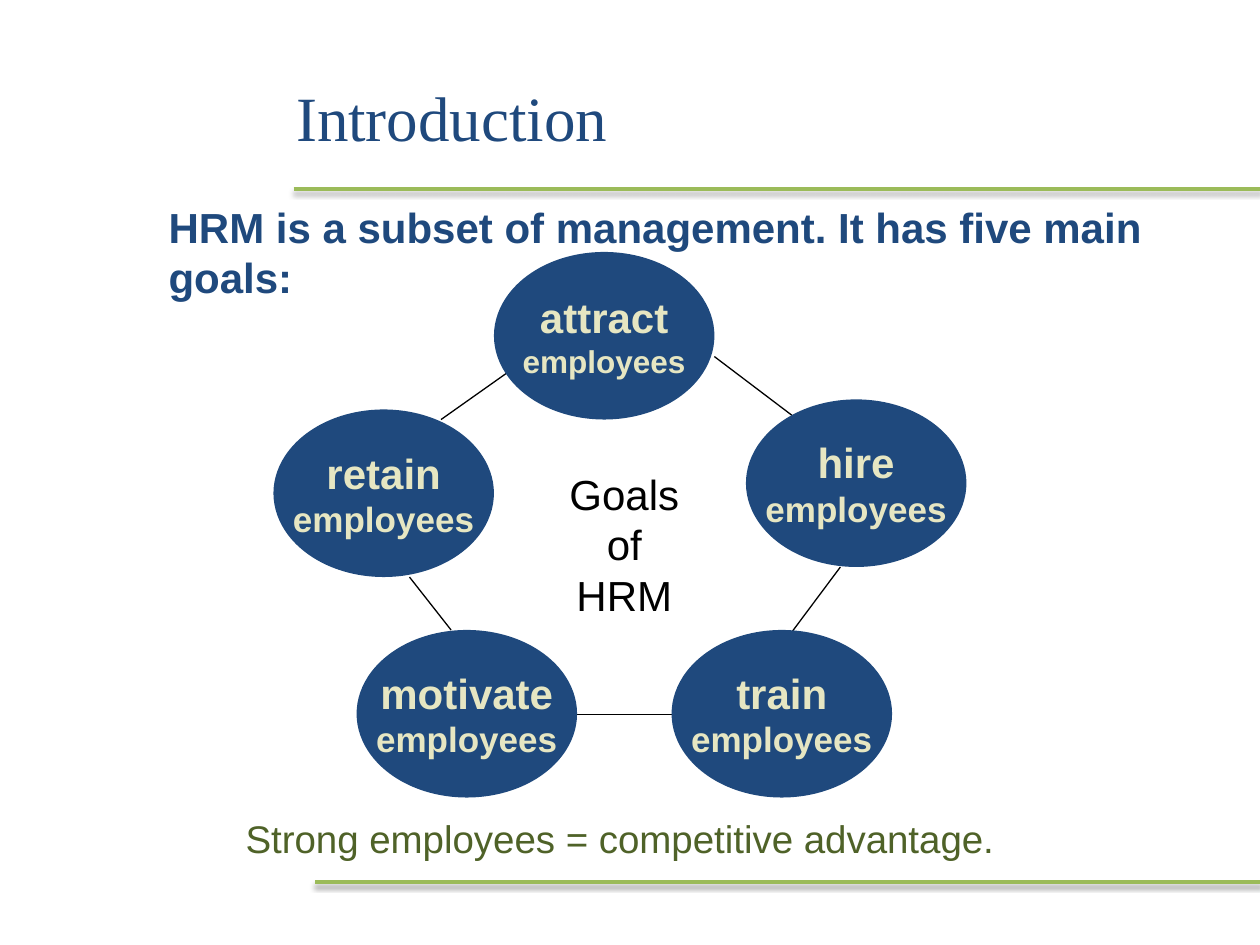
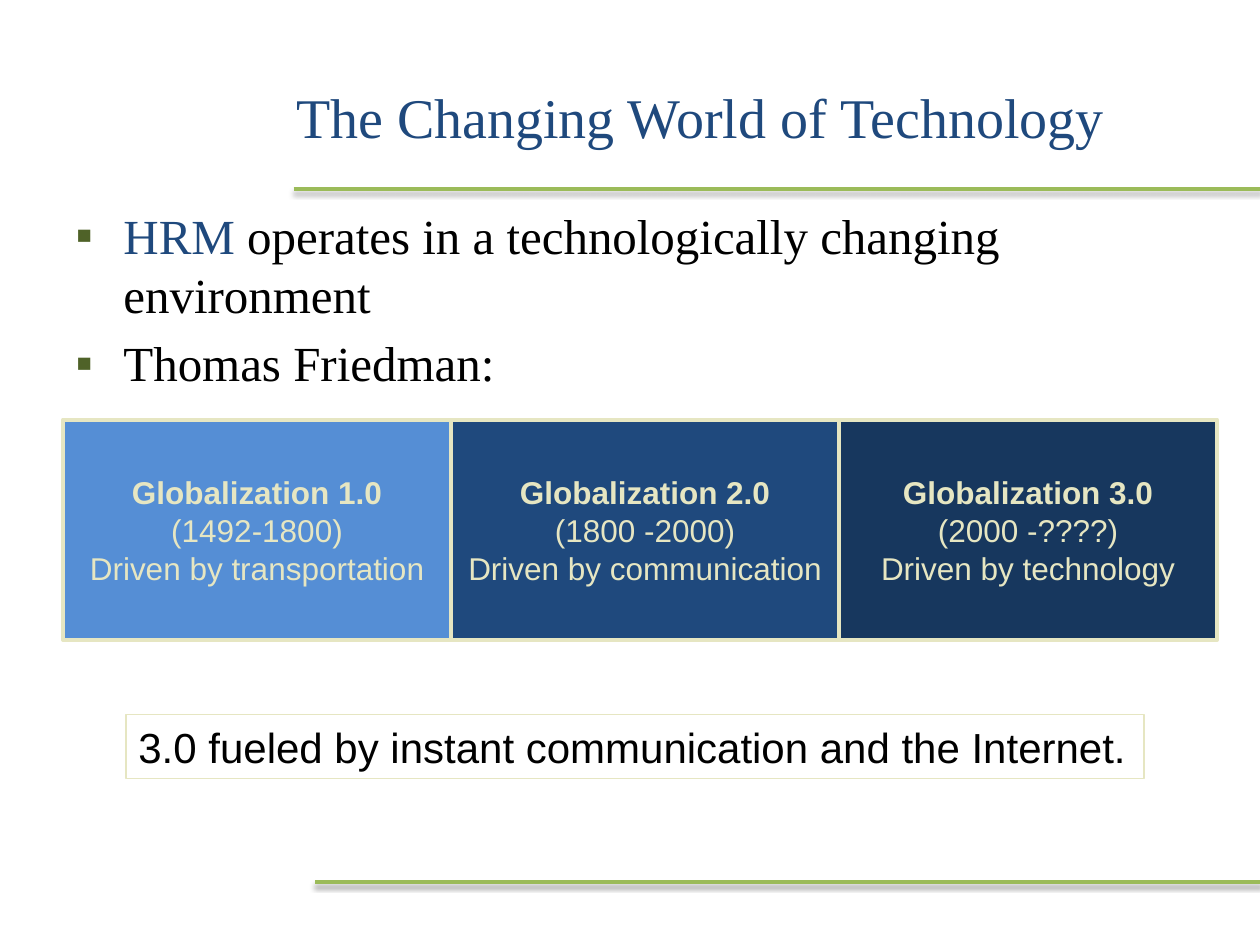
from dataclasses import dataclass

from lxml.etree import SubElement
from pptx import Presentation
from pptx.dml.color import RGBColor
from pptx.enum.shapes import MSO_CONNECTOR, MSO_SHAPE
from pptx.enum.text import MSO_ANCHOR, MSO_AUTO_SIZE, PP_ALIGN
from pptx.oxml import parse_xml
from pptx.oxml.ns import nsdecls, qn
from pptx.util import Inches, Pt


@dataclass(frozen=True)
class Theme:
    navy: str = "1F497D"
    deep_navy: str = "17375E"
    sky: str = "558ED5"
    cream: str = "E6E6C2"
    olive: str = "4F6228"
    green: str = "9BBB59"
    black: str = "000000"
    serif: str = "Times New Roman"
    sans: str = "Arial"
    title_size: int = 36
    long_title_size: int = 32
    list_size: int = 28
    text_size: int = 24
    caption_size: int = 22
    detail_size: int = 20
    small_size: int = 18


THEME = Theme()
RULE_SHADOW = (
    f'<a:effectLst {nsdecls("a")}><a:outerShdw blurRad="40000" dist="20000" dir="5400000" '
    'rotWithShape="0"><a:srgbClr val="000000"><a:alpha val="38000"/></a:srgbClr>'
    "</a:outerShdw></a:effectLst>"
)
NO_SHADOW = f'<a:effectLst {nsdecls("a")}/>'


def rgb(color):
    return RGBColor.from_string(color)


def style(paragraph, size, color, font=THEME.sans, bold=False, align=PP_ALIGN.LEFT):
    paragraph.alignment = align
    for run in paragraph.runs:
        run.font.name = font
        run.font.size = Pt(size)
        run.font.bold = bold
        run.font.color.rgb = rgb(color)


def place(part, left, top, width, height):
    part.left, part.top = Inches(left), Inches(top)
    part.width, part.height = Inches(width), Inches(height)


def add_line(slide, start, end, color, weight, effects=NO_SHADOW):
    line = slide.shapes.add_connector(
        MSO_CONNECTOR.STRAIGHT, *(Inches(v) for v in (*start, *end)))
    line.line.color.rgb = rgb(color)
    line.line.width = Pt(weight)
    line._element.spPr.append(parse_xml(effects))


def add_label(slide, box, text, size, color, bold=False, align=PP_ALIGN.CENTER, wrap=True):
    label = slide.shapes.add_textbox(*(Inches(v) for v in box))
    label.text_frame.word_wrap = wrap
    label.text_frame.text = text
    for paragraph in label.text_frame.paragraphs:
        style(paragraph, size, color, bold=bold, align=align)


def add_panel(shapes, preset, box, text, fill=None, border=None, weight=0.75, wrap=False):
    panel = shapes.add_shape(preset, *(Inches(v) for v in box))
    panel.shadow.inherit = False
    if fill:
        panel.fill.solid()
        panel.fill.fore_color.rgb = rgb(fill)
    else:
        panel.fill.background()
    if border:
        panel.line.color.rgb = rgb(border)
        panel.line.width = Pt(weight)
    else:
        panel.line.fill.background()
    frame = panel.text_frame
    frame.word_wrap = wrap
    frame.vertical_anchor = MSO_ANCHOR.MIDDLE
    frame.text = text
    return frame.paragraphs


def add_framed_slide(deck, layout_index, title, title_size):
    """Slide with its title and the two green rules."""
    slide = deck.slides.add_slide(deck.slide_layouts[layout_index])
    for left, top in ((2.33, 1.5), (2.5, 7)):
        add_line(slide, (left, top), (10, top), THEME.green, 2, RULE_SHADOW)
    heading = slide.shapes.title
    place(heading, 2.25, 0.3, 7.25, 1.25)
    heading.text_frame.text = title
    heading.text_frame.auto_size = MSO_AUTO_SIZE.NONE
    heading.text_frame.vertical_anchor = MSO_ANCHOR.MIDDLE
    style(heading.text_frame.paragraphs[0], title_size, THEME.navy, THEME.serif)
    return slide


def add_goal_ring(slide, left, top):
    """Five linked goals around a centre label, measured from the ring's corner."""
    links = [
        ((3.5, 0.83), (4.16, 1.33)),
        ((4.5, 2.5), (4, 3.17)),
        ((3.16, 3.67), (2.33, 3.67)),
        ((1.41, 3), (1.08, 2.58)),
        ((1.33, 1.33), (1.91, 0.92)),
    ]
    for start, end in links:
        add_line(slide, (left + start[0], top + start[1]),
                 (left + end[0], top + end[1]), THEME.black, 0.75)

    add_label(slide, (left + 2.25, top + 1.67, 1.07, 1.3), "Goals\nof\nHRM",
              THEME.text_size, THEME.black, wrap=False)

    goals = [
        ("hire", 3.75, 1.17, THEME.detail_size),
        ("attract", 1.75, 0, THEME.small_size),
        ("retain", 0, 1.25, THEME.detail_size),
        ("motivate", 0.66, 3, THEME.detail_size),
        ("train", 3.16, 3, THEME.detail_size),
    ]
    for goal, x, y, detail_size in goals:
        verb, whom = add_panel(slide.shapes, MSO_SHAPE.OVAL, (left + x, top + y, 1.75, 1.33),
                               f"{goal}\nemployees", THEME.navy)
        style(verb, THEME.text_size, THEME.cream, bold=True, align=PP_ALIGN.CENTER)
        style(whom, detail_size, THEME.cream, bold=True, align=PP_ALIGN.CENTER)


def add_bullets(body, items):
    """Square-bulleted list; each item is a list of (text, colour) pieces."""
    frame = body.text_frame
    frame.auto_size = MSO_AUTO_SIZE.NONE
    for index, pieces in enumerate(items):
        paragraph = frame.add_paragraph() if index else frame.paragraphs[0]
        properties = paragraph._p.get_or_add_pPr()
        properties.set("marL", str(Inches(0.38)))
        properties.set("indent", str(-Inches(0.38)))
        bullet_color = SubElement(properties, qn("a:buClr"))
        SubElement(bullet_color, qn("a:srgbClr"), val=THEME.olive)
        SubElement(properties, qn("a:buFont"), typeface=THEME.sans)
        SubElement(properties, qn("a:buChar"), char="▪")
        paragraph.space_before = Pt(5.6 if index else 0)
        for text, _ in pieces:
            paragraph.add_run().text = text
        style(paragraph, THEME.list_size, THEME.black, THEME.serif)
        for run, (_, color) in zip(paragraph.runs, pieces):
            run.font.color.rgb = rgb(color)


def add_era_band(slide, left, top):
    """Three adjoining boxes, one for each era of globalization."""
    eras = [
        ("1.0", "(1492-1800)", "transportation", THEME.sky, 3.08),
        ("2.0", "(1800 -2000)", "communication", THEME.navy, 3.08),
        ("3.0", "(2000 -????)", "technology", THEME.deep_navy, 3),
    ]
    band = slide.shapes.add_group_shape()
    for version, years, driver, fill, width in eras:
        lines = add_panel(
            band.shapes, MSO_SHAPE.RECTANGLE, (left, top, width, 1.75),
            f"Globalization {version}\n{years}\nDriven by {driver}",
            fill, THEME.cream, 2.25)
        for index, line in enumerate(lines):
            style(line, THEME.small_size, THEME.cream, bold=index == 0, align=PP_ALIGN.CENTER)
        left += width


def build_introduction(deck):
    slide = add_framed_slide(deck, 5, "Introduction", THEME.title_size)
    add_label(slide, (0.92, 6.42, 8, 0.47), "Strong employees = competitive advantage.",
              THEME.caption_size, THEME.olive)
    add_label(slide, (1.24, 1.55, 8.5, 0.91),
              "HRM is a subset of management. It has five main goals:",
              THEME.text_size, THEME.navy, bold=True, align=PP_ALIGN.LEFT)
    add_goal_ring(slide, 2.17, 2)


def build_technology(deck):
    slide = add_framed_slide(deck, 1, "The Changing World of Technology", THEME.long_title_size)
    body = slide.placeholders[1]
    place(body, 0.5, 1.58, 9, 4.95)
    add_bullets(body, [
        [("HRM", THEME.navy),
         (" operates in a technologically changing environment", THEME.black)],
        [("Thomas Friedman:", THEME.black)],
    ])
    add_era_band(slide, 0.5, 3.33)
    # Closing remark
    remark, = add_panel(slide.shapes, MSO_SHAPE.RECTANGLE, (1, 5.67, 8.08, 0.51),
                        "3.0 fueled by instant communication and the Internet.",
                        border=THEME.cream, wrap=True)
    style(remark, THEME.text_size, THEME.black)


def main():
    deck = Presentation()
    deck.slide_width, deck.slide_height = Inches(10), Inches(7.5)
    build_introduction(deck)
    build_technology(deck)
    deck.save("out.pptx")


if __name__ == "__main__":
    main()
